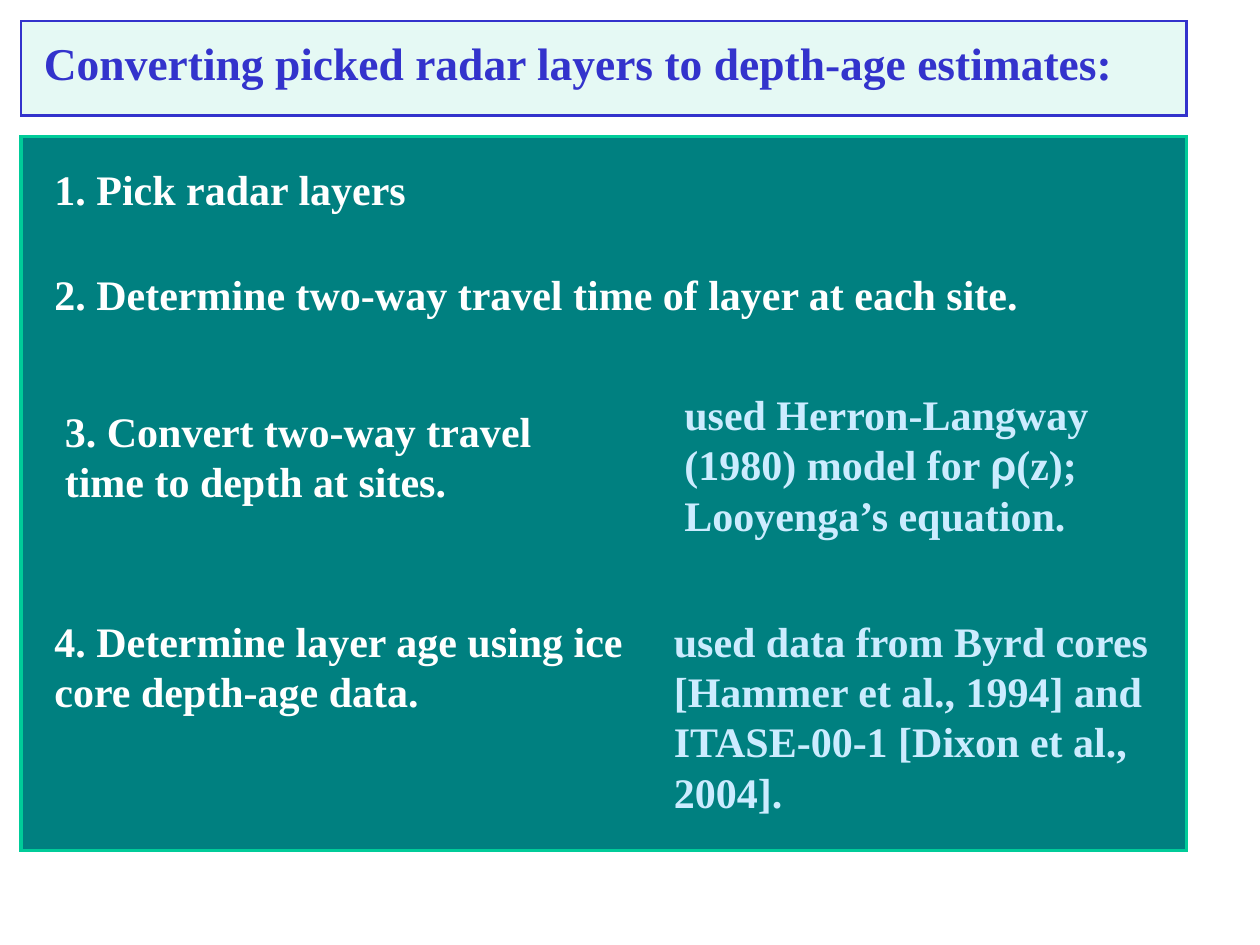
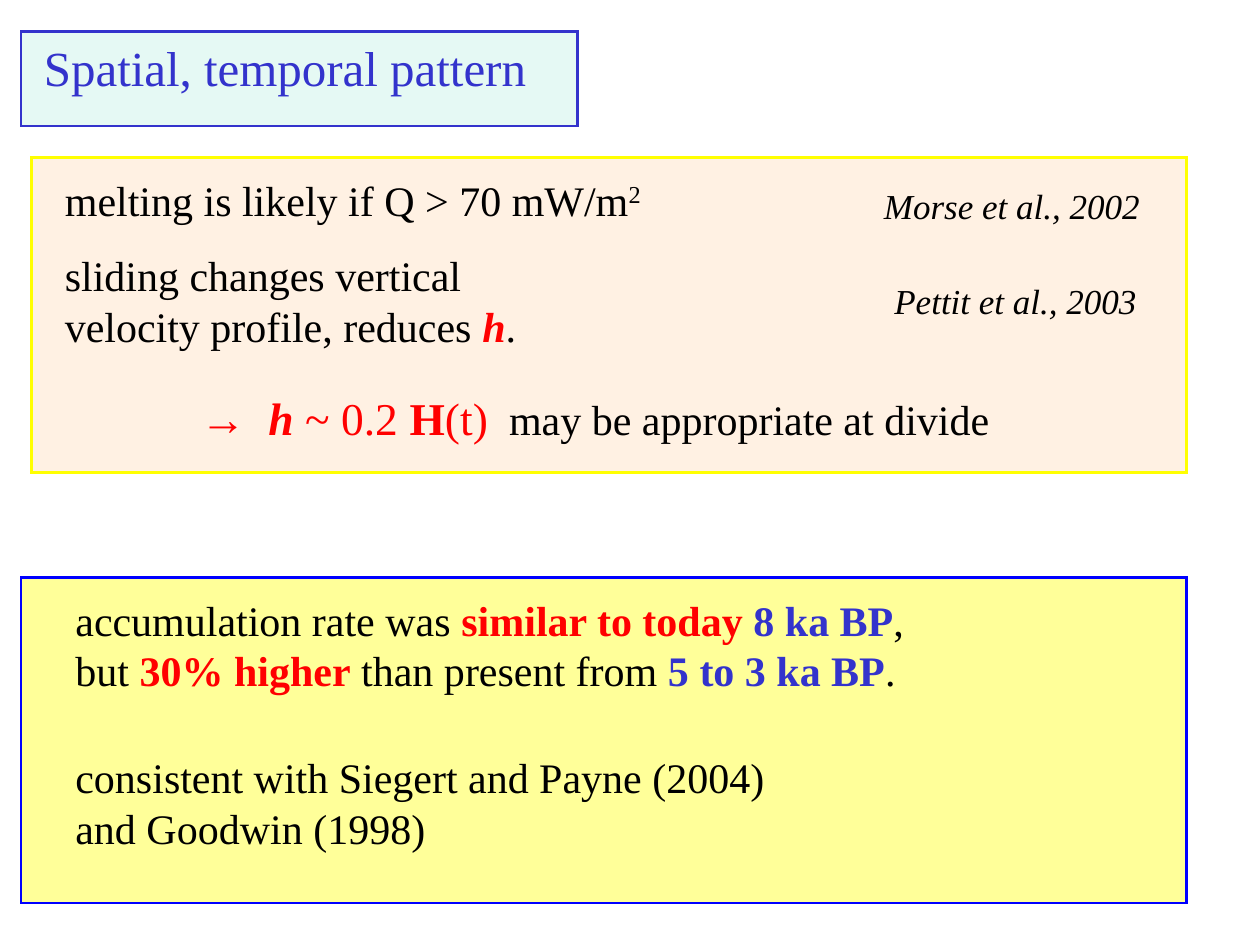
from dataclasses import dataclass

from lxml.etree import SubElement
from pptx import Presentation
from pptx.dml.color import RGBColor
from pptx.enum.shapes import MSO_SHAPE
from pptx.enum.text import MSO_ANCHOR
from pptx.oxml.ns import qn
from pptx.slide import Slide
from pptx.util import Inches, Pt

WIDE, HIGH = Inches(10), Inches(7.5)
COLS, ROWS = 120, 90

WHITE = RGBColor(0xFF, 0xFF, 0xFF)
BLACK = RGBColor(0x00, 0x00, 0x00)
TEAL = RGBColor(0x00, 0x80, 0x80)
GREEN = RGBColor(0x00, 0xCC, 0x99)
INDIGO = RGBColor(0x33, 0x33, 0xCC)
BLUE = RGBColor(0x00, 0x00, 0xFF)
ICE = RGBColor(0xCC, 0xEC, 0xFF)
RED = RGBColor(0xFF, 0x00, 0x00)
PEACH = RGBColor(0xFF, 0xCC, 0x99)
CREAM = RGBColor(0xFF, 0xFF, 0x99)
YELLOW = RGBColor(0xFF, 0xFF, 0x00)

SERIF, SANS = "Times New Roman", "Arial"
BODY, CITE, RULE = 24, 20, 26
LEFT, SPAN = 2, 111


@dataclass(frozen=True)
class Area:
    col: float
    row: float
    cols: float
    rows: float

    def place(self) -> tuple[int, int, int, int]:
        return (
            round(WIDE * self.col / COLS),
            round(HIGH * self.row / ROWS),
            round(WIDE * self.cols / COLS),
            round(HIGH * self.rows / ROWS),
        )


@dataclass(frozen=True)
class Panel:
    area: Area
    fill: RGBColor
    edge: RGBColor
    weight: float
    alpha: int = 100


@dataclass(frozen=True)
class Run:
    text: str
    color: RGBColor = BLACK
    size: float = BODY
    bold: bool = False
    slant: bool = False
    face: str = SERIF
    lift: bool = False


@dataclass(frozen=True)
class Note:
    area: Area
    lines: tuple[tuple[Run, ...], ...]
    tabs: tuple[float, ...] = ()


def draw_panel(slide: Slide, panel: Panel) -> None:
    box = slide.shapes.add_shape(MSO_SHAPE.RECTANGLE, *panel.area.place())
    box.shadow.inherit = False
    box.fill.solid()
    box.fill.fore_color.rgb = panel.fill
    box.line.color.rgb = panel.edge
    box.line.width = Pt(panel.weight)
    SubElement(box.line._get_or_add_ln(), qn("a:miter"), lim="800000")
    if panel.alpha < 100:
        tint = box.fill._xPr.find(qn("a:solidFill"))[0]
        SubElement(tint, qn("a:alpha"), val=str(panel.alpha * 1000))


def draw_note(slide: Slide, note: Note) -> None:
    frame = slide.shapes.add_textbox(*note.area.place()).text_frame
    frame.word_wrap = True
    frame.vertical_anchor = MSO_ANCHOR.TOP
    for index, line in enumerate(note.lines):
        para = frame.add_paragraph() if index else frame.paragraphs[0]
        if note.tabs:
            stops = SubElement(para._p.get_or_add_pPr(), qn("a:tabLst"))
            for stop in note.tabs:
                SubElement(stops, qn("a:tab"), pos=str(Inches(stop)), algn="l")
        for part in line:
            run = para.add_run()
            run.text = part.text
            font = run.font
            font.name, font.size = part.face, Pt(part.size)
            font.bold, font.italic = part.bold, part.slant
            font.color.rgb = part.color
            if part.lift:
                run._r.get_or_add_rPr().set("baseline", "30000")


def draw_title(slide: Slide, area: Area, top: float, run: Run) -> None:
    draw_panel(slide, Panel(area, GREEN, INDIGO, 1.5, 10))
    draw_note(slide, Note(Area(3, top, SPAN, 6.5), ((run,),)))


def step(col: float, row: float, cols: float, rows: float, text: str) -> Note:
    return Note(Area(col, row, cols, rows), ((Run(text, WHITE, bold=True),),))


def source(col: float, row: float, cols: float, *parts: tuple[str, str]) -> Note:
    runs = tuple(Run(text, ICE, bold=True, face=face) for text, face in parts)
    return Note(Area(col, row, cols, 15.6), (runs,))


def cite(col: float, row: float, text: str) -> Note:
    run = Run(text, size=CITE, slant=True)
    return Note(Area(col, row, 29, 5.3), ((run,),))


STEPS = (
    step(4, 15, 62, 6, "1. Pick radar layers"),
    step(4, 25, 97, 6, "2. Determine two-way travel time of layer at each site."),
    step(5, 38, 55, 10.8, "3. Convert two-way travel time to depth at sites."),
    source(64, 36.4, 49, ("used Herron-Langway (1980) model for ", SERIF),
           ("ρ", SANS), ("(z); Looyenga’s equation.", SERIF)),
    step(4, 58, 58, 10.8, "4. Determine layer age using ice core depth-age data."),
    source(63, 58, 48, ("used data from Byrd cores [Hammer et al., 1994] and "
                        "ITASE-00-1 [Dixon et al., 2004].", SERIF)),
)

TRENDS = (
    Note(Area(5, 16, 64, 6),
         ((Run("melting is likely if Q > 70 mW/m"), Run("2", lift=True)),)),
    cite(83, 17, "Morse et al., 2002"),
    Note(Area(5, 23.2, 53, 10.8),
         ((Run("sliding changes vertical velocity profile, reduces "),
           Run("h", RED, bold=True, slant=True), Run(".")),)),
    cite(84, 26, "Pettit et al., 2003"),
    Note(Area(17.9, 36.6, 84, 6.5),
         ((Run("→", RED, RULE, True, True, SANS),
           Run("\th", RED, RULE, True, True),
           Run(" ~ 0.2 ", RED, RULE),
           Run("H", RED, RULE, True),
           Run("(t)", RED, RULE),
           Run("\tmay be appropriate at divide")),), (0.54, 2.45)),
    Note(Area(6, 56, 99, 10.8),
         ((Run("accumulation rate was "),
           Run("similar to today ", RED, bold=True),
           Run("8 ka BP", INDIGO, bold=True), Run(",")),
          (Run("but "), Run("30% higher", RED, bold=True),
           Run(" than present from "),
           Run("5 to 3 ka BP", INDIGO, bold=True), Run(".")))),
    Note(Area(6, 71, 73, 10.8),
         ((Run("consistent with Siegert and Payne (2004) and Goodwin (1998)"),),)),
)


def main() -> None:
    deck = Presentation()
    deck.slide_width, deck.slide_height = WIDE, HIGH
    blank = deck.slide_layouts[6]

    method = deck.slides.add_slide(blank)
    draw_panel(method, Panel(Area(LEFT, 13, SPAN, 68), TEAL, GREEN, 2))
    draw_title(method, Area(LEFT, 2, SPAN, 9), 2.7,
               Run("Converting picked radar layers to depth-age estimates:",
                   INDIGO, RULE, True))
    for note in STEPS:
        draw_note(method, note)

    result = deck.slides.add_slide(blank)
    draw_panel(result, Panel(Area(LEFT, 55, SPAN, 31), CREAM, BLUE, 1.5))
    draw_panel(result, Panel(Area(3, 15, 110, 30), PEACH, YELLOW, 2, 27))
    draw_title(result, Area(LEFT, 3, 53, 9), 3,
               Run("Spatial, temporal pattern", INDIGO, 28))
    for note in TRENDS:
        draw_note(result, note)

    deck.save("out.pptx")


if __name__ == "__main__":
    main()
